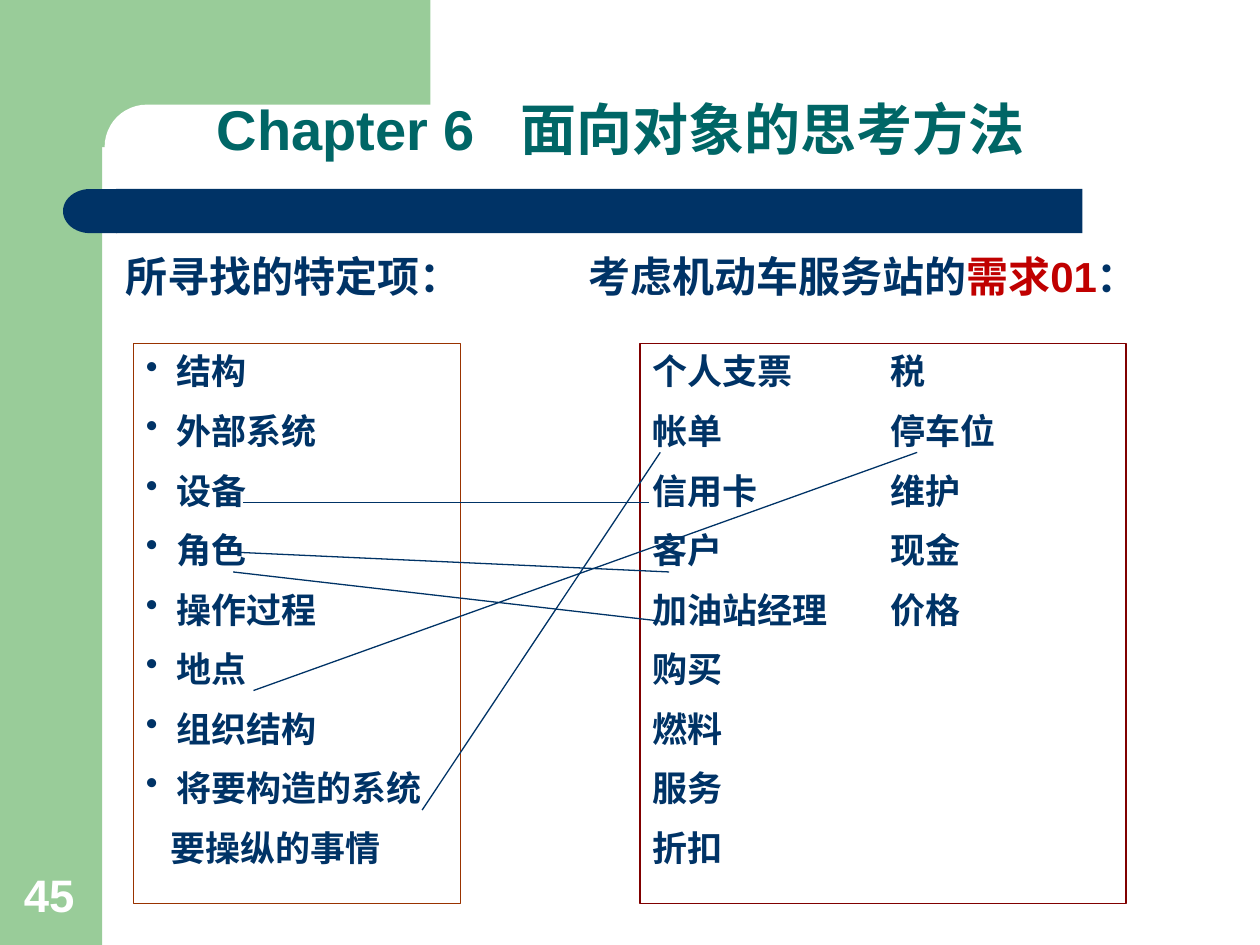
from lxml import etree
from pptx import Presentation
from pptx.dml.color import RGBColor
from pptx.enum.shapes import MSO_CONNECTOR, MSO_SHAPE
from pptx.enum.text import MSO_ANCHOR, PP_ALIGN
from pptx.oxml.ns import qn
from pptx.util import Cm, Pt

RECT = MSO_SHAPE.RECTANGLE
ROUND = MSO_SHAPE.ROUNDED_RECTANGLE
DELAY = MSO_SHAPE.FLOWCHART_DELAY
STRAIGHT = MSO_CONNECTOR.STRAIGHT
TOP, BOTTOM = MSO_ANCHOR.TOP, MSO_ANCHOR.BOTTOM
LEFT = PP_ALIGN.LEFT

GREEN, WHITE, NAVY, TEAL, RED = "99CC99", "FFFFFF", "003366", "006666", "C00000"
BROWN, MAROON = "993300", "800000"
FONT = "Arial"

BACKDROP = [
    (RECT, (0, 0, 2.06, 19.05), GREEN, 0),
    (RECT, (1.85, 0, 6.83, 2.97), GREEN, 0),
    (ROUND, (2.11, 2.11, 14.17, 1.7), WHITE, 0),
    (RECT, (2.34, 3.81, 19.48, 0.89), NAVY, 0),
    (DELAY, (1.27, 3.81, 1.09, 0.89), NAVY, 180),
]
TITLE = "Chapter 6\t面向对象的思考方法"
HEADING = [
    ("所寻找的特定项：\t考虑机动车服务站的", NAVY),
    ("需求01", RED),
    ("：", NAVY),
]
PAGE_NUMBER = "45"
SOUGHT_ITEMS = [
    "结构", "外部系统", "设备", "角色", "操作过程",
    "地点", "组织结构", "将要构造的系统",
]
SOUGHT_CONTINUATION = "要操纵的事情"
REQUIREMENTS = [
    "个人支票\t税", "帐单\t停车位", "信用卡\t维护", "客户\t现金",
    "加油站经理\t价格", "购买", "燃料", "服务", "折扣",
]
MATCHES = [
    ((5.11, 13.92), (18.49, 9.12)),
    ((4.7, 11.13), (13.49, 11.53)),
    ((4.7, 11.53), (13.31, 12.52)),
    ((8.51, 16.33), (13.31, 9.12)),
    ((4.9, 10.13), (13.08, 10.13)),
]


def color(hex_value):
    return RGBColor.from_string(hex_value)


def cm(values):
    return [Cm(value) for value in values]


def add_runs(paragraph, runs, size):
    for text, hex_value in runs:
        run = paragraph.add_run()
        run.text = text
        run.font.name = FONT
        run.font.size = Pt(size)
        run.font.bold = True
        run.font.color.rgb = color(hex_value)


def set_indent(paragraph, left, first=0):
    properties = paragraph._p.get_or_add_pPr()
    properties.set("marL", str(Cm(left)))
    properties.set("indent", str(Cm(first)))


def add_bullet(paragraph):
    properties = paragraph._p.get_or_add_pPr()
    etree.SubElement(properties, qn("a:buChar"), char="•")


def add_tab(paragraph, position):
    properties = paragraph._p.get_or_add_pPr()
    stops = etree.SubElement(properties, qn("a:tabLst"))
    etree.SubElement(stops, qn("a:tab"), pos=str(Cm(position)), algn="l")


def add_text(slide, bounds, runs, size, anchor=TOP):
    box = slide.shapes.add_textbox(*cm(bounds))
    box.text_frame.word_wrap = True
    box.text_frame.vertical_anchor = anchor
    paragraph = box.text_frame.paragraphs[0]
    add_runs(paragraph, runs, size)
    return paragraph


def add_list(slide, bounds, line_color, items):
    box = slide.shapes.add_shape(RECT, *cm(bounds))
    box.shadow.inherit = False
    box.fill.background()
    box.line.color.rgb = color(line_color)
    box.line.width = Pt(0.75)
    frame = box.text_frame
    frame.word_wrap = True
    frame.vertical_anchor = TOP
    for index, item in enumerate(items):
        paragraph = frame.add_paragraph() if index else frame.paragraphs[0]
        paragraph.alignment = LEFT
        paragraph.line_spacing = Pt(24)
        if index:
            paragraph.space_before = Pt(10)
        add_runs(paragraph, [(item, NAVY)], 20)
    return frame.paragraphs


def add_match(slide, start, end):
    match = slide.shapes.add_connector(STRAIGHT, *cm(start + end))
    match.line.color.rgb = color(NAVY)
    match.line.width = Pt(0.75)
    etree.SubElement(match._element.spPr, qn("a:effectLst"))


def main():
    deck = Presentation()
    deck.slide_width, deck.slide_height = Cm(25.4), Cm(19.05)
    slide = deck.slides.add_slide(deck.slide_layouts[5])

    for preset, bounds, fill, rotation in BACKDROP:
        panel = slide.shapes.add_shape(preset, *cm(bounds))
        panel.shadow.inherit = False
        panel.fill.solid()
        panel.fill.fore_color.rgb = color(fill)
        panel.line.fill.background()
        panel.rotation = rotation
        if preset == ROUND:
            panel.adjustments[0] = 0.5

    title = slide.shapes.title
    slide.shapes._spTree.append(title._element)
    title.left, title.top, title.width, title.height = cm((2.54, 1.07, 22.23, 2.34))
    title.text_frame.vertical_anchor = BOTTOM
    title.text_frame.margin_left = Cm(1.83)
    title_line = title.text_frame.paragraphs[0]
    title_line.alignment = LEFT
    title_line.line_spacing = 0.9
    add_tab(title_line, 6.12)
    add_runs(title_line, [(TITLE, TEAL)], 32)

    add_text(slide, (0.23, 17.35, 1.63, 1.35), [(PAGE_NUMBER, WHITE)], 26, BOTTOM)
    heading = add_text(slide, (2.29, 4.93, 23.11, 1.3), HEADING, 24)
    add_tab(heading, 9.32)

    sought = add_list(slide, (2.69, 6.93, 6.6, 11.28), BROWN,
                      SOUGHT_ITEMS + [SOUGHT_CONTINUATION])
    for paragraph in sought[:-1]:
        set_indent(paragraph, 0.62, -0.62)
        add_bullet(paragraph)
    set_indent(sought[-1], 0.5)

    for paragraph in add_list(slide, (12.9, 6.93, 9.8, 11.28), MAROON, REQUIREMENTS):
        add_tab(paragraph, 4.8)

    for start, end in MATCHES:
        add_match(slide, start, end)

    deck.save("out.pptx")


if __name__ == "__main__":
    main()
